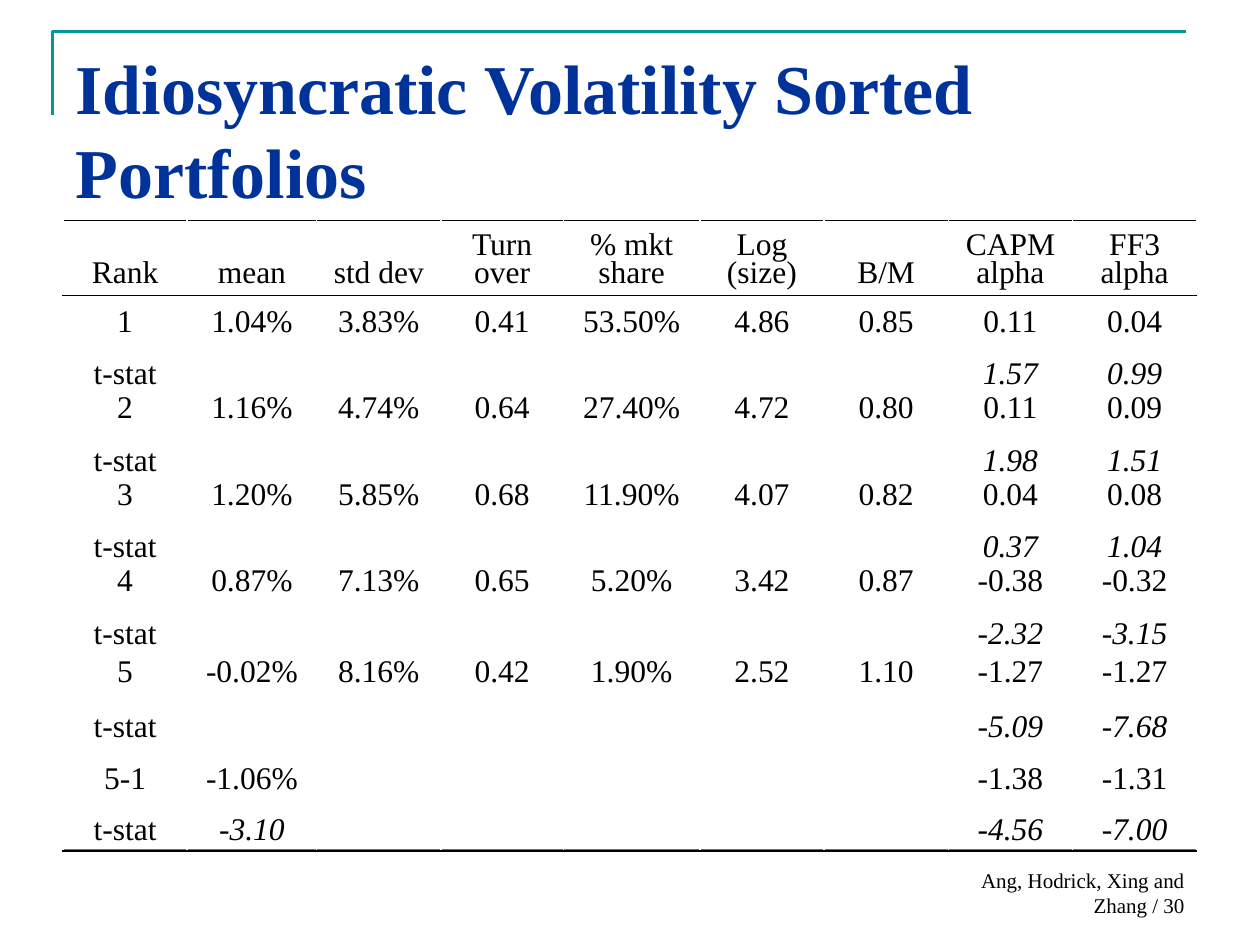
from lxml import etree
from pptx import Presentation
from pptx.dml.color import RGBColor
from pptx.enum import shapes, text
from pptx.oxml.ns import qn
from pptx.util import Pt

# Content
TITLE = "Idiosyncratic Volatility Sorted Portfolios"
FOOT = "Ang, Hodrick, Xing and Zhang / 30"
HEAD = ["Rank", "mean", "std dev", "Turn over", "% mkt share",
        "Log (size)", "B/M", "CAPM alpha", "FF3 alpha"]
GAP = [""] * 5
# Each rank has its values, then the t-stats of mean and both alphas
RANKS = [
    (["1", "1.04%", "3.83%", "0.41", "53.50%", "4.86", "0.85", "0.11", "0.04"],
     ("", "1.57", "0.99")),
    (["2", "1.16%", "4.74%", "0.64", "27.40%", "4.72", "0.80", "0.11", "0.09"],
     ("", "1.98", "1.51")),
    (["3", "1.20%", "5.85%", "0.68", "11.90%", "4.07", "0.82", "0.04", "0.08"],
     ("", "0.37", "1.04")),
    (["4", "0.87%", "7.13%", "0.65", "5.20%", "3.42", "0.87", "-0.38", "-0.32"],
     ("", "-2.32", "-3.15")),
    (["5", "-0.02%", "8.16%", "0.42", "1.90%", "2.52", "1.10", "-1.27", "-1.27"],
     ("", "-5.09", "-7.68")),
    (["5-1", "-1.06%", *GAP, "-1.38", "-1.31"], ("-3.10", "-4.56", "-7.00")),
]
WIDTHS = [71, 74, 71, 70, 78, 71, 71, 71, 71]
TALL, LOW = 30, 19.5
HEIGHTS = [43, 26.5] + [TALL, LOW] * 4 + [TALL, TALL, LOW]
LOOSE = (0, 9)  # rows with wider line spacing
COLORS = {"title": "003399", "rule": "009999", "ink": "000000"}
FONT = "Times New Roman"


def rgb(name):
    return RGBColor.from_string(COLORS[name])


def style(para, size, color, bold=False, slant=False):
    for run in para.runs:
        font = run.font
        font.name, font.size = FONT, Pt(size)
        font.bold, font.italic = bold, slant
        font.color.rgb = rgb(color)


def rule(shape):
    shape.line.color.rgb = rgb("rule")
    shape.line.width = Pt(1.5)


def border(cell, side):
    line = etree.Element(qn("a:" + side), w=str(Pt(1)))
    fill = etree.SubElement(line, qn("a:solidFill"))
    etree.SubElement(fill, qn("a:srgbClr"), val=COLORS["ink"])
    props = cell._tc.get_or_add_tcPr()
    props.insert(len(props.findall(qn("a:lnT"))), line)


def fill_cell(cell, word, row, col, last):
    cell.fill.background()
    cell.vertical_anchor = text.MSO_ANCHOR.BOTTOM
    cell.margin_left = cell.margin_right = Pt(7.9)
    cell.margin_top = cell.margin_bottom = Pt(3.6)
    para = cell.text_frame.paragraphs[0]
    para.text = word
    para.alignment = text.PP_ALIGN.CENTER
    para.line_spacing = 0.8 if row in LOOSE else 0.5
    stat = row > 0 and row % 2 == 0 and col > 0
    style(para, 18, "ink", slant=stat)
    if row in (0, 1):
        border(cell, "lnT")
    if row in (0, last):
        border(cell, "lnB")


deck = Presentation()
deck.slide_width, deck.slide_height = Pt(720), Pt(540)
slide = deck.slides.add_slide(deck.slide_layouts[5])

# Corner and bottom rules
pen = slide.shapes.build_freeform(Pt(30), Pt(66))
pen.add_line_segments([(Pt(30), Pt(18)), (Pt(678), Pt(18))], close=False)
corner = pen.convert_to_shape()
corner.shadow.inherit = False
corner.fill.background()
rule(corner)
base = slide.shapes.add_connector(
    shapes.MSO_CONNECTOR.STRAIGHT, Pt(36), Pt(486), Pt(684), Pt(486))
etree.SubElement(base._element.spPr, qn("a:effectLst"))
rule(base)

# Title
title = slide.shapes.title
title.left, title.top, title.width, title.height = Pt(36), Pt(21.6), Pt(648), Pt(90)
frame = title.text_frame
frame.text = TITLE
frame.word_wrap = True
frame.auto_size = text.MSO_AUTO_SIZE.NONE
frame.vertical_anchor = text.MSO_ANCHOR.TOP
frame.paragraphs[0].alignment = text.PP_ALIGN.LEFT
style(frame.paragraphs[0], 40, "title", bold=True)

# Table
rows = [HEAD]
for values, (mean, capm, ff3) in RANKS:
    rows += [values, ["t-stat", mean, *GAP, capm, ff3]]
grid = slide.shapes.add_table(
    len(rows), len(HEAD), Pt(36), Pt(126), Pt(sum(WIDTHS)), Pt(sum(HEIGHTS))).table
grid.first_row = grid.horz_banding = False
for col, width in zip(grid.columns, WIDTHS):
    col.width = Pt(width)
for r, words in enumerate(rows):
    grid.rows[r].height = Pt(HEIGHTS[r])
    for c, word in enumerate(words):
        fill_cell(grid.cell(r, c), word, r, c, len(rows) - 1)

# Footer
foot = slide.shapes.add_textbox(Pt(516), Pt(492), Pt(168), Pt(36)).text_frame
foot.text = FOOT
foot.word_wrap = True
foot.vertical_anchor = text.MSO_ANCHOR.BOTTOM
foot.paragraphs[0].alignment = text.PP_ALIGN.RIGHT
style(foot.paragraphs[0], 12, "ink")

deck.save("out.pptx")
